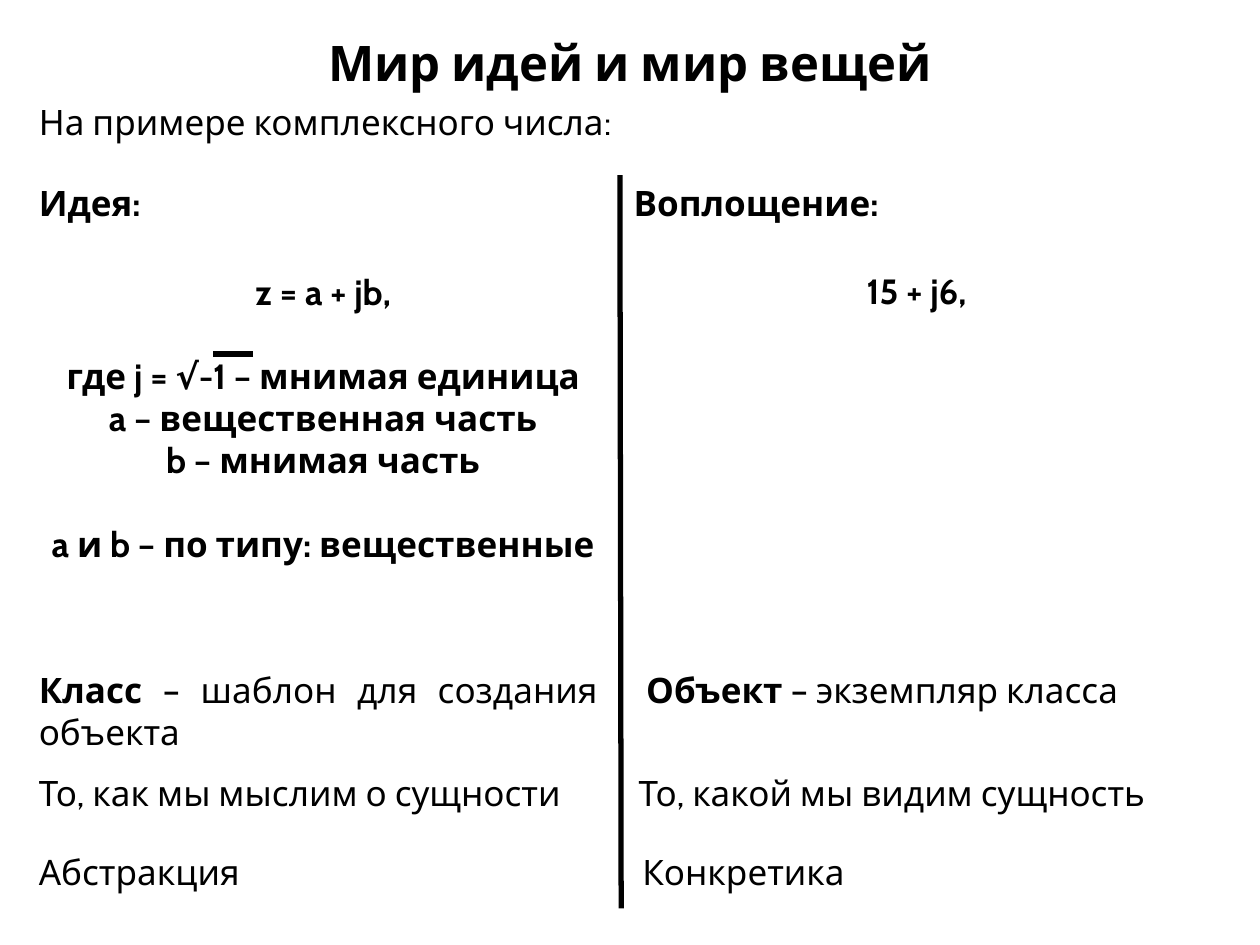
import dataclasses

import lxml.etree
import pptx
import pptx.dml.color
import pptx.enum.lang
import pptx.enum.shapes
import pptx.enum.text
import pptx.oxml.ns
import pptx.util

Inches = pptx.util.Inches
Pt = pptx.util.Pt
ALIGN = pptx.enum.text.PP_ALIGN
LANG = pptx.enum.lang.MSO_LANGUAGE_ID

COLORS = {"ink": "000000", "page": "FFFFFF"}
FONT = "Cabin"
LEFT = 0.21
HALF = 4.71  # width of the upper columns
LOW = 4.63  # width of the lower columns
ROW = 0.44  # height of a one-line box


@dataclasses.dataclass
class Run:
    text: str
    bold: bool = False
    lang: LANG = LANG.RUSSIAN


@dataclasses.dataclass
class Para:
    runs: list[Run]
    gap: float = 0  # points before the paragraph


@dataclasses.dataclass
class Label:
    left: float
    top: float
    width: float
    paras: list[Para]
    height: float = ROW
    size: float = 20
    align: ALIGN = ALIGN.JUSTIFY


@dataclasses.dataclass
class Rule:
    start: tuple[float, float]
    end: tuple[float, float]


def color(name: str) -> pptx.dml.color.RGBColor:
    return pptx.dml.color.RGBColor.from_string(COLORS[name])


def plain(text: str) -> list[Para]:
    return [Para([Run(text)])]


def strong(text: str, gap: float = 0) -> list[Para]:
    return [Para([Run(text, True)], gap)]


def term(word: str, rest: str) -> list[Para]:
    return [Para([Run(word, True), Run(rest)])]


def draw_label(slide, label: Label) -> None:
    box = slide.shapes.add_textbox(
        Inches(label.left), Inches(label.top), Inches(label.width), Inches(label.height)
    )
    frame = box.text_frame
    frame.word_wrap = True
    frame.auto_size = pptx.enum.text.MSO_AUTO_SIZE.SHAPE_TO_FIT_TEXT
    for i, para in enumerate(label.paras):
        line = frame.add_paragraph() if i else frame.paragraphs[0]
        form = {"alignment": label.align, "space_before": Pt(para.gap)}
        for name, value in form.items():
            setattr(line, name, value)
        for part in para.runs:
            run = line.add_run()
            run.text = part.text
            style = {
                "name": FONT,
                "size": Pt(label.size),
                "bold": part.bold,
                "language_id": part.lang,
            }
            for name, value in style.items():
                setattr(run.font, name, value)
            run.font.color.rgb = color("ink")


def draw_rule(slide, rule: Rule) -> None:
    ends = [Inches(n) for n in (*rule.start, *rule.end)]
    line = slide.shapes.add_connector(pptx.enum.shapes.MSO_CONNECTOR.STRAIGHT, *ends)
    line.line.color.rgb = color("ink")
    line.line.width = Pt(3)
    lxml.etree.SubElement(line._element.spPr, pptx.oxml.ns.qn("a:effectLst"))


# The root sign has its own run and language, so its fallback font stays apart
ROOT = [
    Run("где j = ", True),
    Run("√", True, LANG.ENGLISH_US),
    Run("-1 – мнимая единица", True),
]

# Formula lines; a gap of one line sets the groups apart
FORMULA = [
    *strong("z = a + jb,"),
    Para(ROOT, 24),
    *strong("a – вещественная часть"),
    *strong("b – мнимая часть"),
    *strong("a и b – по типу: вещественные", 24),
]

LABELS = [
    # Title and lead-in
    Label(0.12, LEFT, 9.76, strong("Мир идей и мир вещей"), 0.57, 28, ALIGN.CENTER),
    Label(LEFT, 0.75, 9.45, plain("На примере комплексного числа:")),
    # Column heads
    Label(LEFT, 1.39, HALF, strong("Идея:")),
    Label(4.93, 1.39, HALF, strong("Воплощение:")),
    # Formula and its value
    Label(LEFT, 2.1, HALF, FORMULA, 2.46, align=ALIGN.CENTER),
    Label(4.92, 2.09, HALF, strong("15 + j6,"), align=ALIGN.CENTER),
    # Class against object
    Label(LEFT, 5.26, LOW, term("Класс", " – шаблон для создания объекта"), 0.77),
    Label(5.03, 5.26, LOW, term("Объект", " – экземпляр класса")),
    Label(LEFT, 6.07, LOW, plain("То, как мы мыслим о сущности")),
    Label(4.97, 6.07, LOW, plain("То, какой мы видим сущность")),
    Label(LEFT, 6.7, LOW, plain("Абстракция")),
    Label(5, 6.7, LOW, plain("Конкретика")),
]

RULES = [
    Rule((4.92, 1.39), (4.93, 7.21)),  # column divider
    Rule((2.01, 2.81), (1.69, 2.81)),  # bar of the root sign
]


def main() -> None:
    deck = pptx.Presentation()
    deck.slide_width = Inches(10)
    deck.slide_height = Inches(7.5)
    slide = deck.slides.add_slide(deck.slide_layouts[6])
    fill = slide.background.fill
    fill.solid()
    fill.fore_color.rgb = color("page")
    for label in LABELS:
        draw_label(slide, label)
    for rule in RULES:
        draw_rule(slide, rule)
    deck.save("out.pptx")


if __name__ == "__main__":
    main()
